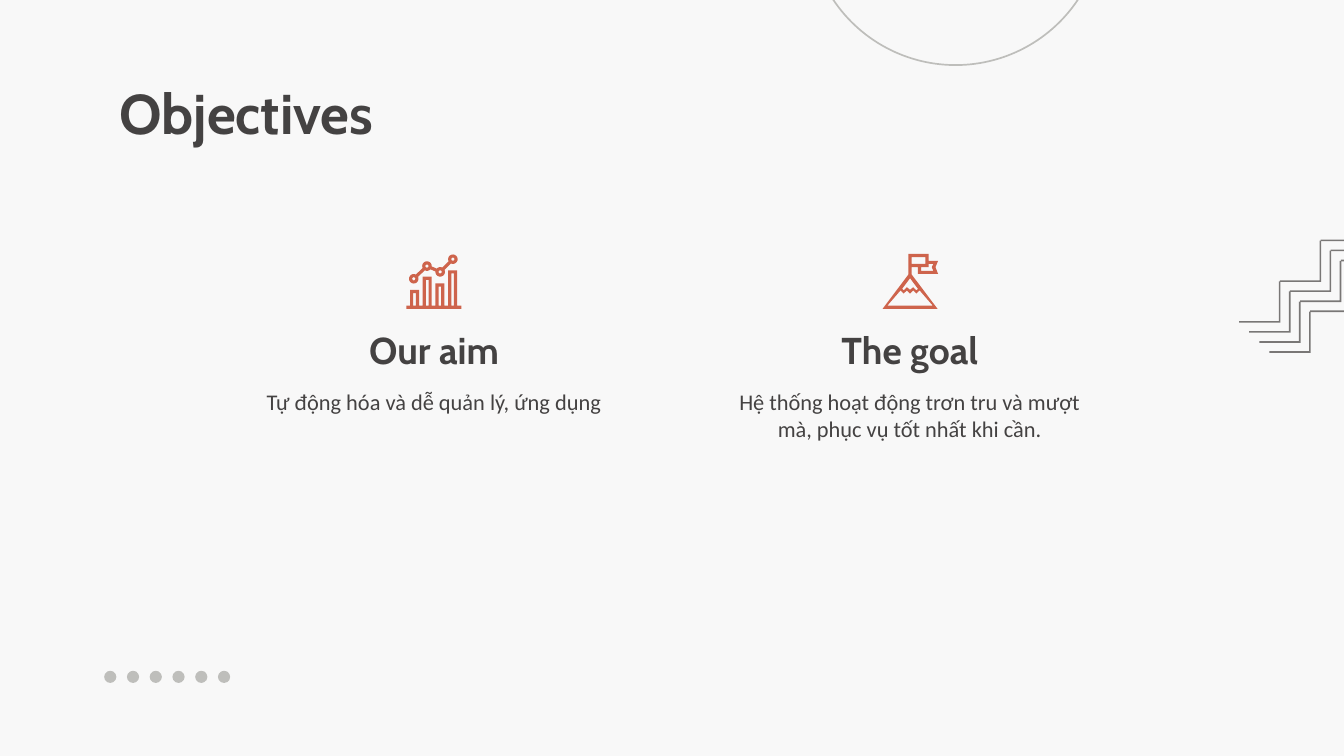
from dataclasses import dataclass
from math import asin, atan2, cos, pi, sin

from pptx import Presentation
from pptx.dml.color import RGBColor
from pptx.enum.shapes import MSO_SHAPE
from pptx.enum.text import MSO_ANCHOR, MSO_AUTO_SIZE, PP_ALIGN
from pptx.util import Cm, Pt

OVAL = MSO_SHAPE.OVAL
TOP, BOTTOM = MSO_ANCHOR.TOP, MSO_ANCHOR.BOTTOM
LEFT, CENTER = PP_ALIGN.LEFT, PP_ALIGN.CENTER
FIXED = MSO_AUTO_SIZE.NONE
COLORS = {"back": "F8F8F8", "text": "444242", "stair": "797776",
          "soft": "BEBEBB", "icon": "CE644C"}
HEAD_FONT, BODY_FONT = "Cabin", "Calibri"

Point = tuple[float, float]
Loop = list[Point]


@dataclass
class Column:
    left: float
    head: str
    body: str


@dataclass
class Stair:
    left: float
    top: float
    steps: int


COLUMNS = [
    Column(4.42, "Our aim", "Tự động hóa và dễ quản lý, ứng dụng"),
    Column(13.41, "The goal",
           "Hệ thống hoạt động trơn tru và mượt mà, phục vụ tốt nhất khi cần."),
]
STAIRS = [Stair(23.42 + 0.19 * i, 5.32 + 0.19 * i, steps)
          for i, steps in enumerate((3, 3, 3, 2))]

MOUNTAIN = [
    [(-0.03, 0), (0.35, 0), (0.35, 0.13), (0.53, 0.13), (0.48, 0.25),
     (0.53, 0.38), (0.15, 0.38), (0.15, 0.25), (0.03, 0.25), (0.03, 0.39),
     (0.52, 1.04), (-0.52, 1.04), (-0.03, 0.39)],
    [(0.03, 0.06), (0.29, 0.06), (0.29, 0.19), (0.03, 0.19)],
    [(0.35, 0.19), (0.44, 0.19), (0.41, 0.25), (0.44, 0.32), (0.21, 0.32),
     (0.21, 0.25), (0.35, 0.25)],
    [(0, 0.46), (0.15, 0.66), (0.12, 0.69), (0.06, 0.63), (0, 0.68),
     (-0.06, 0.63), (-0.12, 0.69), (-0.15, 0.66)],
    [(-0.43, 0.98), (-0.18, 0.69), (-0.12, 0.75), (-0.06, 0.69), (0, 0.75),
     (0.06, 0.69), (0.12, 0.75), (0.18, 0.69), (0.43, 0.98)],
]


def rgb(name: str) -> RGBColor:
    return RGBColor.from_string(COLORS[name])


def arc(mid: Point, radius: float, start: float, end: float) -> Loop:
    count = 16
    turns = [start + (end - start) * i / count for i in range(count + 1)]
    return [(mid[0] + radius * cos(t), mid[1] + radius * sin(t)) for t in turns]


def trend_loops(nodes: Loop, radius: float, hole: float, half: float) -> list[Loop]:
    """Trace round the joined discs clockwise, then add a hole for each disc."""
    tour = nodes + nodes[-2:0:-1]
    gap = asin(half / radius)
    edge = []
    for i, (x, y) in enumerate(tour):
        last, follow = tour[i - 1], tour[(i + 1) % len(tour)]
        start = atan2(last[1] - y, last[0] - x) + gap
        end = atan2(follow[1] - y, follow[0] - x) - gap
        if end < start:
            end += 2 * pi
        edge += arc((x, y), radius, start, end)
    return [edge] + [arc(node, hole, 0, 2 * pi) for node in nodes]


def bar_loops(tops: list[float]) -> list[Loop]:
    """Give bars with hollow middles on one base line."""
    base, foot, wall, wide, pitch = 0.98, 1.04, 0.06, 0.17, 0.24
    edge, holes = [(0, foot), (0, base)], []
    for i, top in enumerate(tops):
        left = 0.07 + pitch * i
        right = left + wide
        edge += [(left, base), (left, top), (right, top), (right, base)]
        a, b = left + wall, right - wall
        holes.append([(a, base), (a, top + wall), (b, top + wall), (b, base)])
    return [edge + [(1.04, base), (1.04, foot)]] + holes


def draw_loops(slide, loops: list[Loop], left: float, top: float, color: str) -> None:
    builder = None
    for loop in loops:
        first, *rest = [(Cm(left + x), Cm(top + y)) for x, y in loop]
        if builder is None:
            builder = slide.shapes.build_freeform(*first, scale=1.0)
        else:
            builder.move_to(*first)
        builder.add_line_segments(rest, close=True)
    shape = builder.convert_to_shape()
    shape.shadow.inherit = False
    shape.fill.solid()
    shape.fill.fore_color.rgb = rgb(color)
    shape.line.fill.background()


def draw_stair(slide, stair: Stair) -> None:
    size, thick, pitch = 0.78, 0.03, 0.77
    inner = size - thick
    step = [(inner, 0), (size, 0), (size, size), (0, size), (0, inner), (inner, inner)]
    for i in range(stair.steps):
        draw_loops(slide, [step], stair.left + pitch * i,
                   stair.top - pitch * i, "stair")


def add_disc(slide, left: float, top: float, size: float):
    disc = slide.shapes.add_shape(OVAL, Cm(left), Cm(top), Cm(size), Cm(size))
    disc.shadow.inherit = False
    return disc


def put_text(shape, text: str, font: str, size: int, bold: bool,
             align, anchor) -> None:
    frame = shape.text_frame
    frame.word_wrap = True
    frame.auto_size = FIXED
    frame.vertical_anchor = anchor
    frame.margin_left = frame.margin_right = Cm(0.25)
    frame.margin_top = frame.margin_bottom = Cm(0.25)
    par = frame.paragraphs[0]
    par.alignment = align
    run = par.add_run()
    run.text = text
    run.font.name, run.font.size, run.font.bold = font, Pt(size), bold
    run.font.color.rgb = rgb("text")


def draw_column(slide, column: Column) -> None:
    left, wide = Cm(column.left), Cm(7.57)
    head = slide.shapes.add_textbox(left, Cm(5.82), wide, Cm(1.47))
    put_text(head, column.head, HEAD_FONT, 20, True, CENTER, BOTTOM)
    body = slide.shapes.add_textbox(left, Cm(7.09), wide, Cm(4.04))
    put_text(body, column.body, BODY_FONT, 12, False, CENTER, TOP)


def main() -> None:
    deck = Presentation()
    deck.slide_width, deck.slide_height = Cm(25.4), Cm(14.29)
    slide = deck.slides.add_slide(deck.slide_layouts[5])
    slide.background.fill.solid()
    slide.background.fill.fore_color.rgb = rgb("back")

    for stair in STAIRS:
        draw_stair(slide, stair)
    for i in range(6):
        dot = add_disc(slide, 1.97 + 0.43 * i, 12.68, 0.23)
        dot.fill.solid()
        dot.fill.fore_color.rgb = rgb("soft")
        dot.line.fill.background()
    ring = add_disc(slide, 15.28, -4.33, 5.56)
    ring.fill.background()
    ring.line.color.rgb = rgb("soft")
    ring.line.width = Pt(0.9)

    title = slide.shapes.title
    title.left, title.top, title.width, title.height = (
        Cm(2.01), Cm(1.24), Cm(21.41), Cm(1.6))
    put_text(title, "Objectives", HEAD_FONT, 30, True, LEFT, TOP)
    for column in COLUMNS:
        draw_column(slide, column)

    nodes = [(0.14, 0.47), (0.39, 0.23), (0.64, 0.34), (0.88, 0.1)]
    draw_loops(slide, trend_loops(nodes, 0.09, 0.03, 0.03), 7.68, 4.8, "icon")
    draw_loops(slide, bar_loops([0.68, 0.43, 0.56, 0.31]), 7.68, 4.8, "icon")
    draw_loops(slide, MOUNTAIN, 17.2, 4.8, "icon")
    deck.save("out.pptx")


if __name__ == "__main__":
    main()
